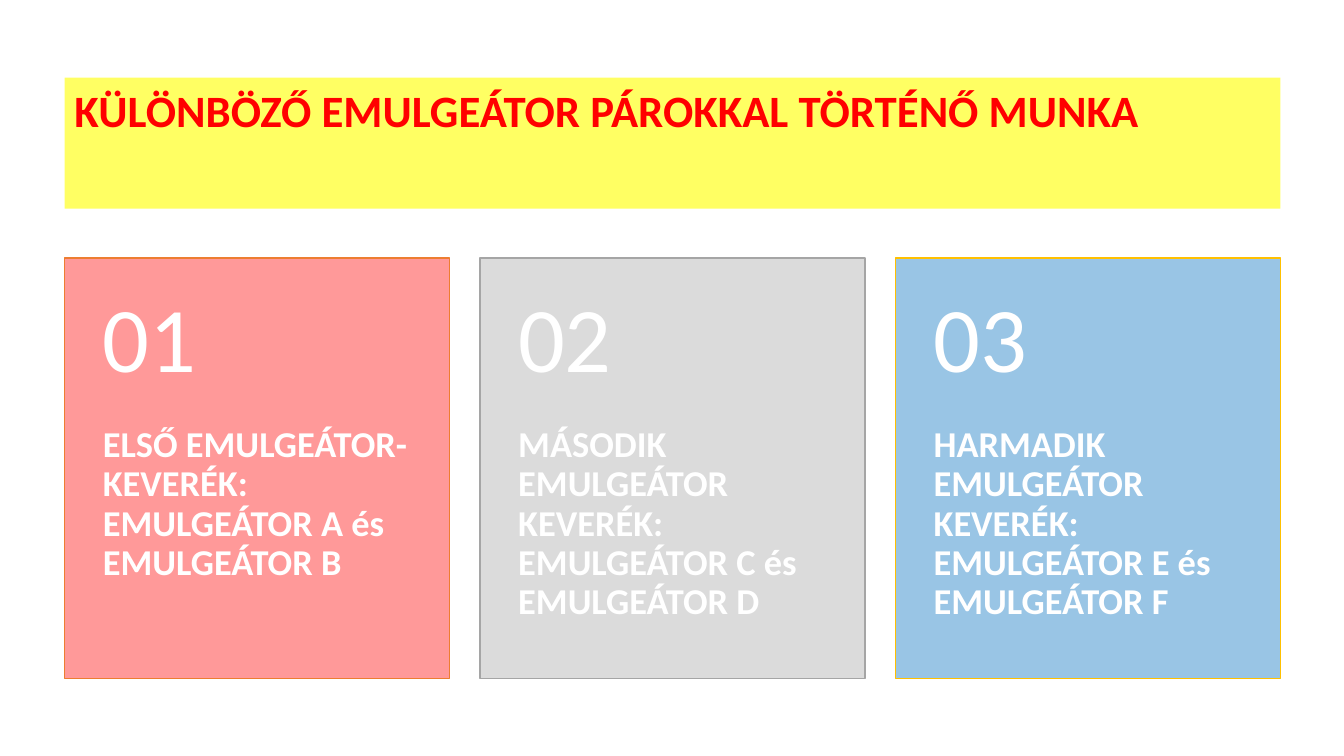
"""Build a slide with a title band and three numbered emulsifier cards."""
from lxml import etree
from pptx import Presentation
from pptx.dml.color import RGBColor
from pptx.enum.shapes import MSO_SHAPE
from pptx.enum.text import MSO_ANCHOR, PP_ALIGN
from pptx.oxml.ns import qn
from pptx.util import Inches, Pt

WHITE = RGBColor(0xFF, 0xFF, 0xFF)
RED = RGBColor(0xFF, 0x00, 0x00)
YELLOW = RGBColor(0xFF, 0xFF, 0x00)
ORANGE = RGBColor(0xED, 0x7D, 0x31)
GRAY = RGBColor(0xA5, 0xA5, 0xA5)
BLUE = RGBColor(0x00, 0x70, 0xC0)
GOLD = RGBColor(0xFF, 0xC0, 0x00)

LEFT, CARD_TOP = 0.64, 2.56
CARD_WIDTH, CARD_HEIGHT, COLUMN_STEP = 3.82, 4.17, 4.12
NUMBER_HEIGHT = 0.4 * CARD_HEIGHT
BAND_WIDTH = 2 * COLUMN_STEP + CARD_WIDTH

CARDS = [
    ("ELSŐ EMULGEÁTOR-KEVERÉK: EMULGEÁTOR A és EMULGEÁTOR B", RED, ORANGE),
    ("MÁSODIK EMULGEÁTOR KEVERÉK: EMULGEÁTOR C és EMULGEÁTOR D", GRAY, GRAY),
    ("HARMADIK EMULGEÁTOR KEVERÉK: EMULGEÁTOR E és EMULGEÁTOR F", BLUE, GOLD),
]


def add_panel(page, left, top, width, height, color, opacity):
    panel = page.shapes.add_shape(
        MSO_SHAPE.RECTANGLE, Inches(left), Inches(top), Inches(width), Inches(height))
    panel.shadow.inherit = False
    panel.fill.solid()
    panel.fill.fore_color.rgb = color
    fill_color = panel.fill._xPr.find(qn("a:solidFill"))[0]
    etree.SubElement(fill_color, qn("a:alpha"), val=str(opacity * 1000))
    panel.line.fill.background()
    return panel


def write_text(frame, text, size, bold, color):
    frame.word_wrap = True
    para = frame.paragraphs[0]
    para.text = text
    para.alignment = PP_ALIGN.LEFT
    para.font.name = "Calibri"
    para.font.size = Pt(size)
    para.font.bold = bold
    para.font.color.rgb = color
    return para


deck = Presentation()
deck.slide_width, deck.slide_height = Inches(13.33), Inches(7.5)
page = deck.slides.add_slide(deck.slide_layouts[6])

band = add_panel(page, LEFT, 0.77, BAND_WIDTH, 1.3, YELLOW, 61)
band.text_frame.vertical_anchor = MSO_ANCHOR.TOP
write_text(band.text_frame, "KÜLÖNBÖZŐ EMULGEÁTOR PÁROKKAL TÖRTÉNŐ MUNKA", 32, True, RED)

for column, (mixture, fill, outline) in enumerate(CARDS):
    left = LEFT + column * COLUMN_STEP
    card = add_panel(page, left, CARD_TOP, CARD_WIDTH, CARD_HEIGHT, fill, 40)
    card.line.color.rgb = outline
    card.line.width = Pt(1)

    rows = [
        (mixture, 26, True, CARD_TOP + NUMBER_HEIGHT, CARD_HEIGHT - NUMBER_HEIGHT,
         MSO_ANCHOR.TOP, 0, 0.36),
        (f"{column + 1:02}", 66, False, CARD_TOP, NUMBER_HEIGHT,
         MSO_ANCHOR.MIDDLE, 0.18, 0.18),
    ]
    for text, size, bold, top, height, anchor, inset_top, inset_bottom in rows:
        box = page.shapes.add_textbox(
            Inches(left), Inches(top), Inches(CARD_WIDTH), Inches(height))
        frame = box.text_frame
        frame.margin_left = frame.margin_right = Inches(0.38)
        frame.margin_top, frame.margin_bottom = Inches(inset_top), Inches(inset_bottom)
        frame.vertical_anchor = anchor
        para = write_text(frame, text, size, bold, WHITE)
        para.line_spacing = 0.9

deck.save("out.pptx")
